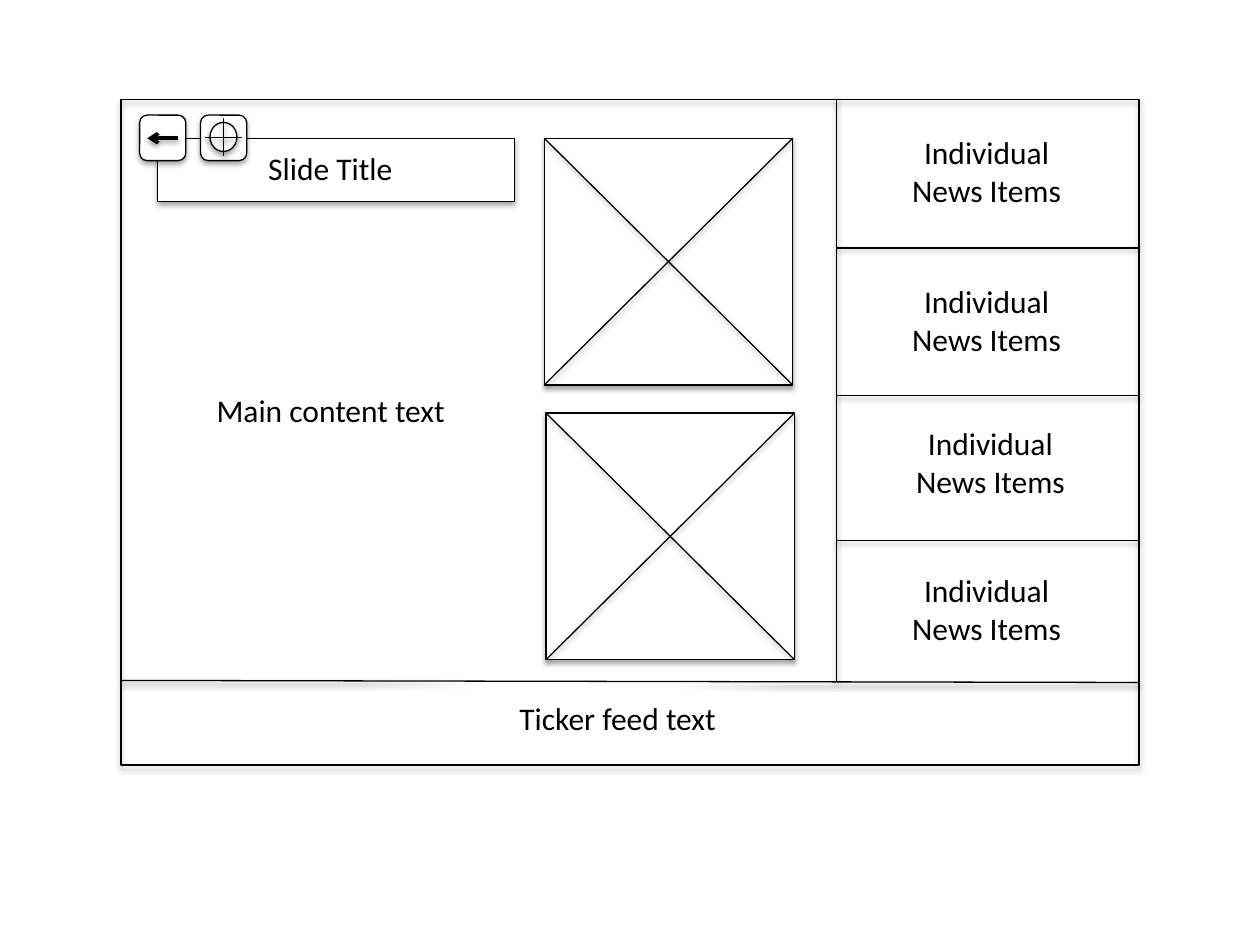
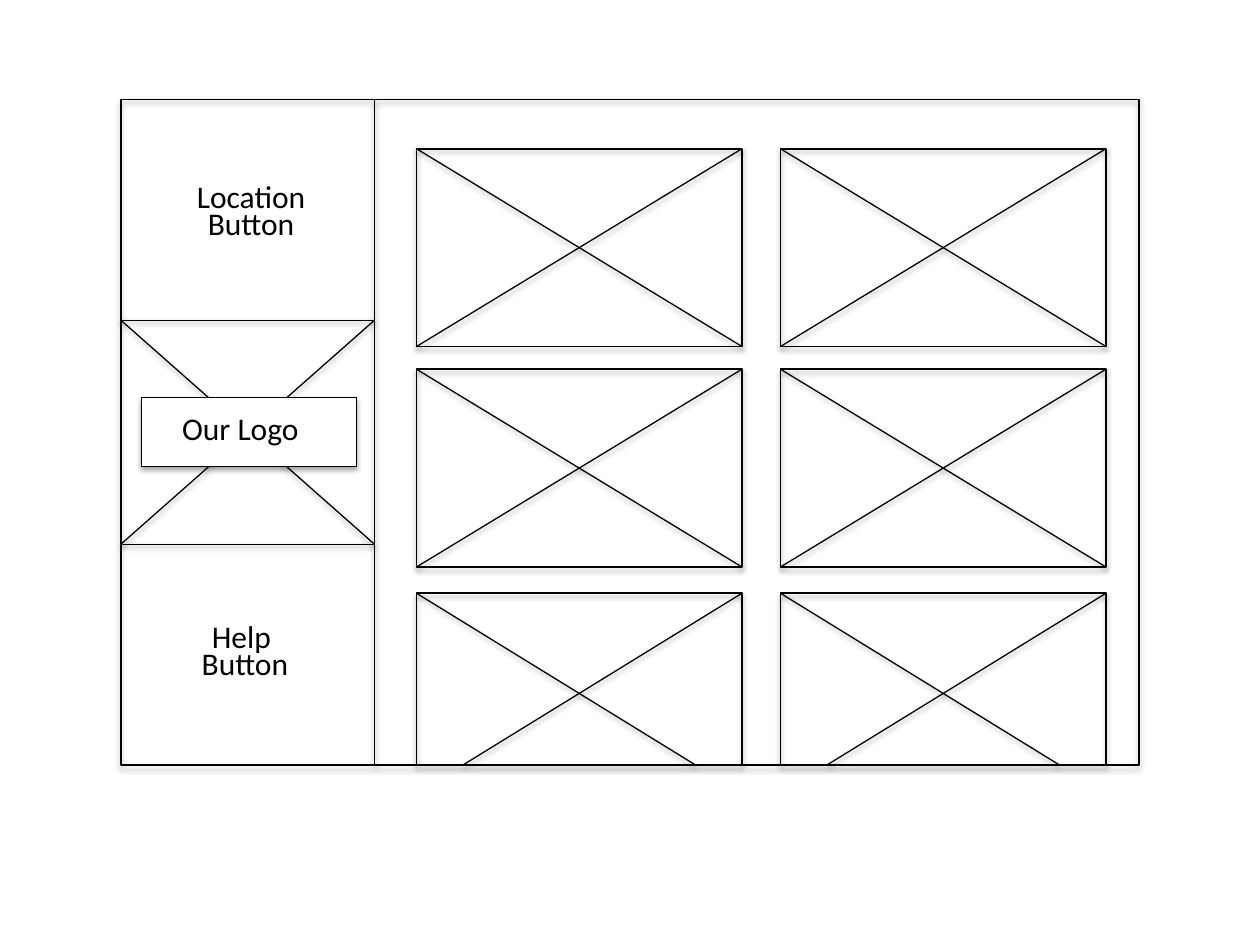
from lxml import etree
from pptx import Presentation
from pptx.dml.color import RGBColor
from pptx.enum.shapes import MSO_CONNECTOR as CONN, MSO_SHAPE as SHAPE
from pptx.enum.text import MSO_AUTO_SIZE as AUTO, PP_ALIGN as ALIGN
from pptx.oxml.ns import qn
from pptx.util import Pt

INK, PAPER = "000000", "FFFFFF"
LEFT, TOP, WIDTH, HEIGHT = 69.1, 56.8, 581.9, 380.2
RIGHT, BOTTOM = LEFT + WIDTH, TOP + HEIGHT


def rgb(value):
    return RGBColor.from_string(value)


def pts(*values):
    return [Pt(v) for v in values]


class Wireframe:
    font = {"name": "Calibri", "size": Pt(18)}
    box_shadow = {"alpha": 35, "dist": 1.8}
    line_shadow = {"alpha": 38, "dist": 1.6}

    def __init__(self, prs):
        self.prs = prs

    def new_slide(self):
        self.slide = self.prs.slides.add_slide(self.prs.slide_layouts[6])
        self.box(LEFT, TOP, WIDTH, HEIGHT, fill=None, weight=1)

    def outline(self, sp, weight, alpha, dist):
        sp.line.color.rgb = rgb(INK)
        sp.line.width = Pt(weight)
        effects = etree.SubElement(sp._element.spPr, qn("a:effectLst"))
        shadow = etree.SubElement(
            effects, qn("a:outerShdw"), blurRad=str(Pt(3.1)), dist=str(Pt(dist)),
            dir="5400000", rotWithShape="0")
        color = etree.SubElement(shadow, qn("a:srgbClr"), val=INK)
        etree.SubElement(color, qn("a:alpha"), val=str(alpha * 1000))

    def box(self, x, y, w, h, fill=PAPER, weight=0.75, kind=SHAPE.RECTANGLE):
        sp = self.slide.shapes.add_shape(kind, *pts(x, y, w, h))
        if fill:
            sp.fill.solid()
            sp.fill.fore_color.rgb = rgb(fill)
        else:
            sp.fill.background()
        self.outline(sp, weight, **self.box_shadow)

    def line(self, x1, y1, x2, y2, weight=0.75, arrow=False):
        sp = self.slide.shapes.add_connector(CONN.STRAIGHT, *pts(x1, y1, x2, y2))
        self.outline(sp, weight, **self.line_shadow)
        if arrow:
            ln = sp._element.spPr.find(qn("a:ln"))
            etree.SubElement(ln, qn("a:tailEnd"), type="arrow")

    def cross(self, x, y, w, h, full=None):
        run = w * h / (full or h)
        self.line(x, y, x + run, y + h)
        self.line(x + w, y, x + w - run, y + h)

    def text(self, x, y, w, h, *lines, align=ALIGN.CENTER):
        tf = self.slide.shapes.add_textbox(*pts(x, y, w, h)).text_frame
        tf.word_wrap = True
        tf.auto_size = AUTO.SHAPE_TO_FIT_TEXT
        for i, line in enumerate(lines):
            p = tf.add_paragraph() if i else tf.paragraphs[0]
            p.alignment = align
            if i:
                p.line_spacing = 0.7
            r = p.add_run()
            r.text = line
            for name, value in self.font.items():
                setattr(r.font, name, value)
            r.font.color.rgb = rgb(INK)


def news_slide(wf):
    wf.new_slide()
    news_x = 478
    wf.line(LEFT, 388.8, RIGHT, 390)
    wf.line(news_x, TOP, news_x, 389)
    for y in (141.8, 226, 309):
        wf.line(news_x, y, RIGHT, y)
    for x, y in ((509.8, 72.7), (509.8, 157.5), (512, 239), (509.8, 322.8)):
        wf.text(x, y, 108, 51, "Individual News Items")
    for x, y in ((311, 79), (312, 236)):
        wf.box(x, y, 142, 141)
        wf.cross(x, y, 142, 141)
    wf.text(250, 396, 210, 29, "Ticker feed text ")
    wf.box(90, 79, 204, 36)
    wf.text(95.8, 81.5, 186, 29, "Slide Title")
    wf.text(84, 219.8, 210, 29, "Main content text")
    for x in (79.8, 114.6):
        wf.box(x, 65.8, 26.4, 26, kind=SHAPE.ROUNDED_RECTANGLE)
    wf.line(101.8, 79, 84.2, 79, weight=2, arrow=True)
    wf.box(120, 70, 15.4, 16.6, kind=SHAPE.OVAL)
    wf.line(127.7, 67.7, 127.7, 89.3)
    wf.line(138.2, 78.5, 117.2, 78.5)


def menu_slide(wf):
    wf.new_slide()
    menu_right, logo_top, logo_bottom = 214, 183, 311
    wf.line(menu_right, TOP, menu_right, BOTTOM)
    for y, h, full in ((85, 113, 113), (211, 113, 113), (339, BOTTOM - 339, 114.5)):
        for x in (238, 446):
            wf.box(x, y, 186, h, fill=None, weight=1)
            wf.cross(x, y, 186, h, full)
    for y in (logo_top, logo_bottom):
        wf.line(LEFT, y, menu_right, y)
    wf.text(101.5, 349, 77, 45, "Help ", "Button")
    wf.text(105, 97.4, 77, 45, "Location", "Button")
    wf.cross(LEFT, logo_top, menu_right - LEFT, logo_bottom - logo_top)
    wf.box(80.8, 227, 123, 39.5)
    wf.text(97, 230.4, 117, 29, "Our Logo", align=ALIGN.LEFT)


prs = Presentation()
prs.slide_width, prs.slide_height = pts(720, 540)
wf = Wireframe(prs)
news_slide(wf)
menu_slide(wf)
prs.save("out.pptx")
